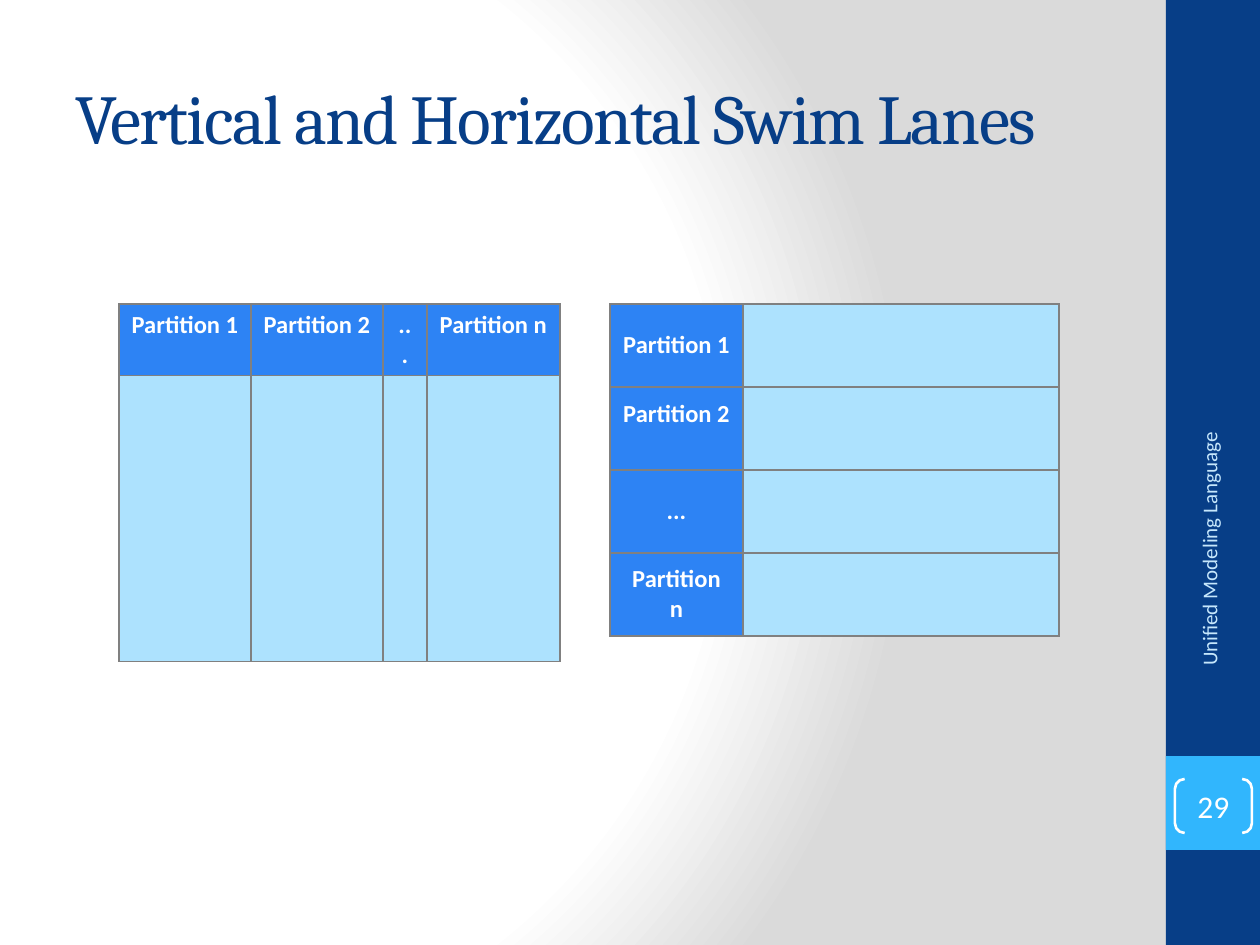
from pptx import Presentation, util as u
from pptx.dml.color import RGBColor
from pptx.enum import shapes, text
from pptx.oxml import parse_xml
from pptx.oxml.ns import nsdecls, qn

PX = 914400 // 126
NAVY = RGBColor(0x07, 0x3E, 0x87)
SKY = RGBColor(0x31, 0xB6, 0xFD)
HEADER_BLUE = RGBColor(0x2D, 0x83, 0xF4)
LANE_BLUE = RGBColor(0xAD, 0xE2, 0xFE)
PALE_BLUE = RGBColor(0xC6, 0xE7, 0xFC)
WHITE = RGBColor(0xFF, 0xFF, 0xFF)
BORDER_GREY = RGBColor(0x80, 0x80, 0x80)
EDGE_GREY = RGBColor(0xDA, 0xDA, 0xDA)

TITLE = "Vertical and Horizontal Swim Lanes"
FOOTER = "Unified Modeling Language"
PAGE = "29"
PARTITIONS = ["Partition 1", "Partition 2", "...", "Partition n"]
BACKGROUND_STOPS = [(0, WHITE), (75, WHITE), (100, EDGE_GREY)]

VERTICAL_LANES = {
    "at": (119, 304),
    "columns": [132, 132, 44, 133],
    "rows": [47, 286],
    "cells": [PARTITIONS, [""] * len(PARTITIONS)],
    "anchor": text.MSO_ANCHOR.TOP,
}
HORIZONTAL_LANES = {
    "at": (610, 304),
    "columns": [133, 316],
    "rows": [83] * len(PARTITIONS),
    "cells": [[name, ""] for name in PARTITIONS],
    "anchor": text.MSO_ANCHOR.MIDDLE,
}


def px(*lengths):
    return [u.Emu(length * PX) for length in lengths]


def write(frame, words, size=14, color=WHITE, font="Calibri", bold=False,
          align=text.PP_ALIGN.CENTER, spacing=None):
    paragraph = frame.paragraphs[0]
    paragraph.alignment = align
    run = paragraph.add_run()
    run.text = words
    run.font.size = u.Pt(size)
    run.font.name = font
    run.font.bold = bold
    run.font.color.rgb = color
    if spacing is not None:
        run.font._element.set("spc", str(spacing * 100))


def paint_background(slide):
    slide.background.fill.gradient()
    gradient = slide.element.find(".//" + qn("a:gradFill"))
    stops = "".join(
        f'<a:gs pos="{percent * 1000}"><a:srgbClr val="{color}"/></a:gs>'
        for percent, color in BACKGROUND_STOPS)
    gradient.getparent().replace(gradient, parse_xml(
        f'<a:gradFill {nsdecls("a")} rotWithShape="1"><a:gsLst>{stops}</a:gsLst>'
        '<a:path path="circle"><a:fillToRect l="20000" t="50000" r="100000" b="50000"/>'
        '</a:path></a:gradFill>'))


def add_block(slide, kind, box, fill=None):
    block = slide.shapes.add_shape(kind, *px(*box))
    block.shadow.inherit = False
    if fill is None:
        block.fill.background()
    else:
        block.fill.solid()
        block.fill.fore_color.rgb = fill
        block.line.fill.background()
    return block


def add_label(slide, box, words, **style):
    label = slide.shapes.add_textbox(*px(*box))
    label.text_frame.word_wrap = True
    label.text_frame.vertical_anchor = text.MSO_ANCHOR.MIDDLE
    write(label.text_frame, words, **style)
    return label


def outline(cell):
    properties = cell._tc.get_or_add_tcPr()
    for side in ("lnL", "lnR", "lnT", "lnB"):
        properties.append(parse_xml(
            f'<a:{side} {nsdecls("a")} w="{u.Pt(1)}"><a:solidFill>'
            f'<a:srgbClr val="{BORDER_GREY}"/></a:solidFill></a:{side}>'))


def add_lanes(slide, lanes):
    columns, rows = lanes["columns"], lanes["rows"]
    table = slide.shapes.add_table(
        len(rows), len(columns), *px(*lanes["at"], sum(columns), sum(rows))).table
    table.first_row = table.horz_banding = False
    for column, width in zip(table.columns, px(*columns)):
        column.width = width
    for row, height, names in zip(table.rows, px(*rows), lanes["cells"]):
        row.height = height
        for cell, name in zip(row.cells, names):
            outline(cell)
            cell.fill.solid()
            cell.fill.fore_color.rgb = HEADER_BLUE if name else LANE_BLUE
            cell.vertical_anchor = lanes["anchor"]
            if name:
                write(cell.text_frame, name, bold=True)
    return table


def main():
    deck = Presentation()
    deck.slide_width, deck.slide_height = px(1260, 945)
    slide = deck.slides.add_slide(deck.slide_layouts[6])
    paint_background(slide)

    rectangle = shapes.MSO_SHAPE.RECTANGLE
    add_block(slide, rectangle, (1166, 0, 94, 945), NAVY)
    add_block(slide, rectangle, (1166, 756, 94, 94), SKY)
    add_label(slide, (63, 38, 1050, 157), TITLE, size=40, color=NAVY,
              font="Cambria", align=text.PP_ALIGN.LEFT, spacing=-1)

    add_lanes(slide, VERTICAL_LANES)
    horizontal = add_lanes(slide, HORIZONTAL_LANES)
    # The second name sits half a line high; the last one breaks in two lines.
    horizontal.cell(1, 0).margin_bottom = px(35)[0]
    last = horizontal.cell(3, 0)
    last.margin_left = last.margin_right = px(17)[0]

    footer = add_label(slide, (1046, 558, 326, 50), FOOTER, size=12,
                       color=PALE_BLUE, align=text.PP_ALIGN.RIGHT)
    footer.rotation = 270

    bracket = add_block(slide, shapes.MSO_SHAPE.DOUBLE_BRACKET, (1175, 779, 77, 54))
    bracket.adjustments[0] = 0.18
    bracket.line.color.rgb = WHITE
    bracket.line.width = u.Pt(1.5)
    frame = bracket.text_frame
    frame.margin_left = frame.margin_right = frame.margin_top = frame.margin_bottom = 0
    frame.vertical_anchor = text.MSO_ANCHOR.MIDDLE
    write(frame, PAGE, size=18)

    deck.save("out.pptx")


if __name__ == "__main__":
    main()
